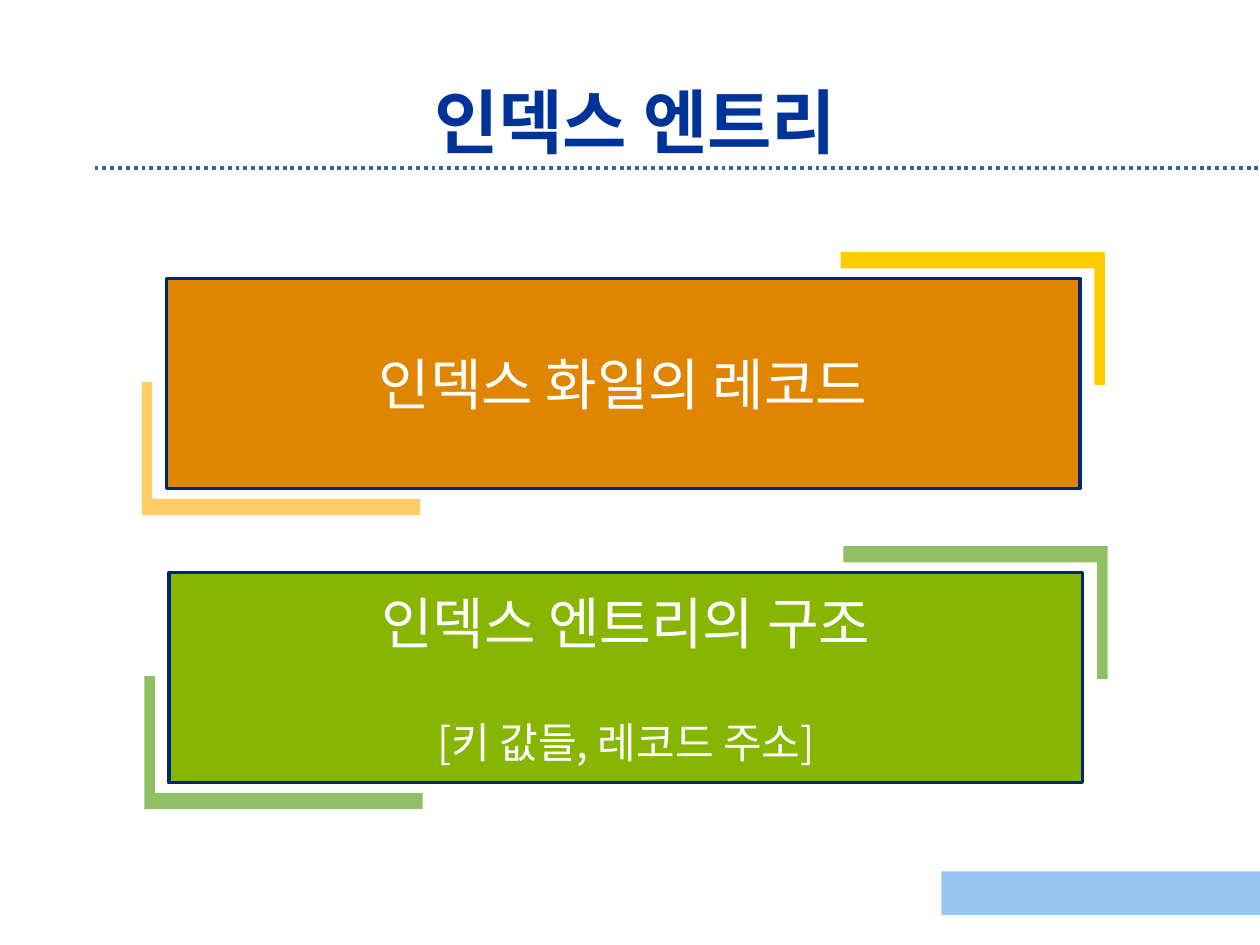
from dataclasses import dataclass

from lxml import etree
from pptx import Presentation
from pptx.dml.color import RGBColor
from pptx.enum.dml import MSO_LINE
from pptx.enum.shapes import MSO_CONNECTOR, MSO_SHAPE
from pptx.enum.text import MSO_ANCHOR, MSO_AUTO_SIZE, PP_ALIGN
from pptx.oxml.ns import qn
from pptx.util import Pt

RECTANGLE = MSO_SHAPE.RECTANGLE
STRAIGHT = MSO_CONNECTOR.STRAIGHT
DOTTED = MSO_LINE.ROUND_DOT
MIDDLE = MSO_ANCHOR.MIDDLE
CENTER = PP_ALIGN.CENTER
NO_AUTOFIT = MSO_AUTO_SIZE.NONE
TITLE_ONLY_LAYOUT = 5


@dataclass(frozen=True)
class Theme:
    font: str = "Noto Sans CJK KR"
    title_size: float = 40
    heading_size: float = 32
    detail_size: float = 24
    title: str = "003399"
    text: str = "FFFFFF"
    rule: str = "336699"
    footer: str = "99C7F3"
    border: str = "002673"
    orange: str = "E08500"
    yellow: str = "FFCC00"
    apricot: str = "FFCC66"
    lime: str = "86B600"
    sage: str = "91BF63"


class SlideBuilder:
    def __init__(self, page, theme):
        self.page = page
        self.theme = theme

    def format_para(self, para, size, color, bold=False):
        para.alignment = CENTER
        for span in para.runs:
            span.font.size = Pt(size)
            span.font.bold = bold
            span.font.name = self.theme.font
            span.font.color.rgb = RGBColor.from_string(color)
            east_asian = etree.SubElement(span.font._element, qn("a:ea"))
            east_asian.set("typeface", self.theme.font)

    def fill(self, shape, color):
        shape.shadow.inherit = False
        shape.fill.solid()
        shape.fill.fore_color.rgb = RGBColor.from_string(color)
        shape.line.fill.background()

    def title(self, text, left, top, width, height):
        box = self.page.shapes.title
        box.left, box.top = Pt(left), Pt(top)
        box.width, box.height = Pt(width), Pt(height)
        frame = box.text_frame
        frame.text = text
        frame.auto_size = NO_AUTOFIT
        frame.vertical_anchor = MIDDLE
        self.format_para(frame.paragraphs[0], self.theme.title_size,
                         self.theme.title, bold=True)

    def dotted_rule(self, left, right, y):
        rule = self.page.shapes.add_connector(
            STRAIGHT, Pt(left), Pt(y), Pt(right), Pt(y))
        rule.line.color.rgb = RGBColor.from_string(self.theme.rule)
        rule.line.width = Pt(2.25)
        rule.line.dash_style = DOTTED
        etree.SubElement(rule._element.spPr, qn("a:effectLst"))

    def rectangle(self, left, top, width, height, color):
        box = self.page.shapes.add_shape(
            RECTANGLE, Pt(left), Pt(top), Pt(width), Pt(height))
        self.fill(box, color)
        return box

    def bracket(self, corner_x, corner_y, reach_x, reach_y, color):
        """Draw an L from its outer corner; signed reaches give the arms."""
        stroke_x = 6 if reach_x > 0 else -6
        stroke_y = 9.3 if reach_y > 0 else -9.3
        offsets = [(0, 0), (reach_x, 0), (reach_x, stroke_y),
                   (stroke_x, stroke_y), (stroke_x, reach_y), (0, reach_y)]
        points = [(Pt(corner_x + x), Pt(corner_y + y)) for x, y in offsets]
        outline = self.page.shapes.build_freeform(*points[0])
        outline.add_line_segments(points[1:], close=True)
        self.fill(outline.convert_to_shape(), color)

    def card(self, left, top, lines, color, lower_color, upper_color):
        """Draw a bordered card between its two corner brackets."""
        width, height, gap_x, gap_y = 522, 120, 14.2, 15.2
        self.bracket(left - gap_x, top + height + gap_y, 159, -76, lower_color)
        self.bracket(left + width + gap_x, top - gap_y, -151, 76, upper_color)
        box = self.rectangle(left, top, width, height, color)
        box.line.color.rgb = RGBColor.from_string(self.theme.border)
        box.line.width = Pt(2)
        frame = box.text_frame
        frame.word_wrap = True
        frame.vertical_anchor = MIDDLE
        frame.text = "\n".join(lines)
        heading, *details = frame.paragraphs
        self.format_para(heading, self.theme.heading_size, self.theme.text)
        for para in details:
            para.space_before = Pt(35)
            self.format_para(para, self.theme.detail_size, self.theme.text)


def main():
    deck = Presentation()
    deck.slide_width, deck.slide_height = Pt(720), Pt(540)
    theme = Theme()
    page = deck.slides.add_slide(deck.slide_layouts[TITLE_ONLY_LAYOUT])
    builder = SlideBuilder(page, theme)

    builder.dotted_rule(54, 720, 96)
    builder.rectangle(538, 498, 182, 25, theme.footer)
    builder.title("인덱스 엔트리", 54, 48, 618, 42)
    builder.card(95.2, 159.2, ["인덱스 화일의 레코드"],
                 theme.orange, theme.apricot, theme.yellow)
    builder.card(96.7, 327.2, ["인덱스 엔트리의 구조", "[키 값들, 레코드 주소]"],
                 theme.lime, theme.sage, theme.sage)
    deck.save("out.pptx")


if __name__ == "__main__":
    main()
